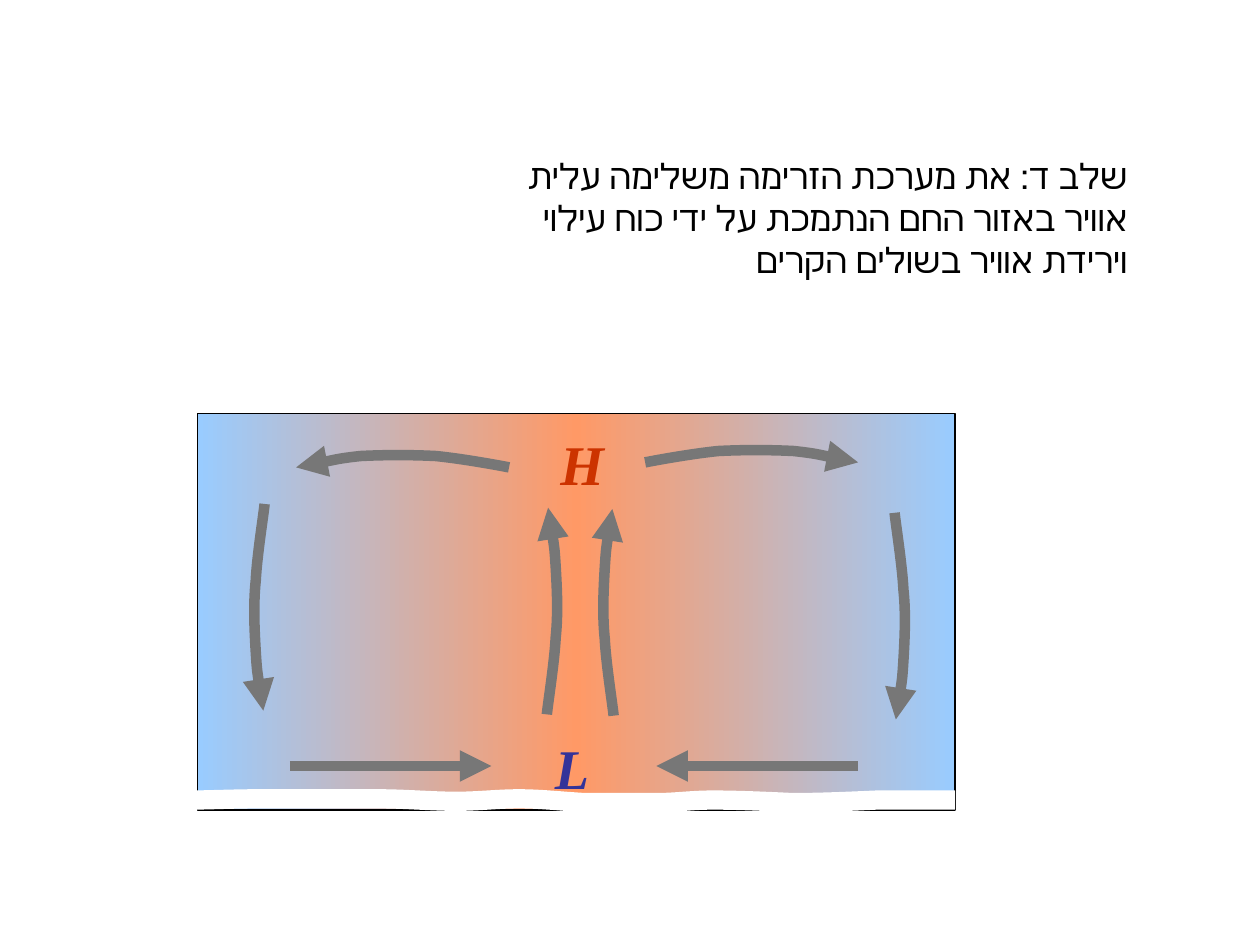
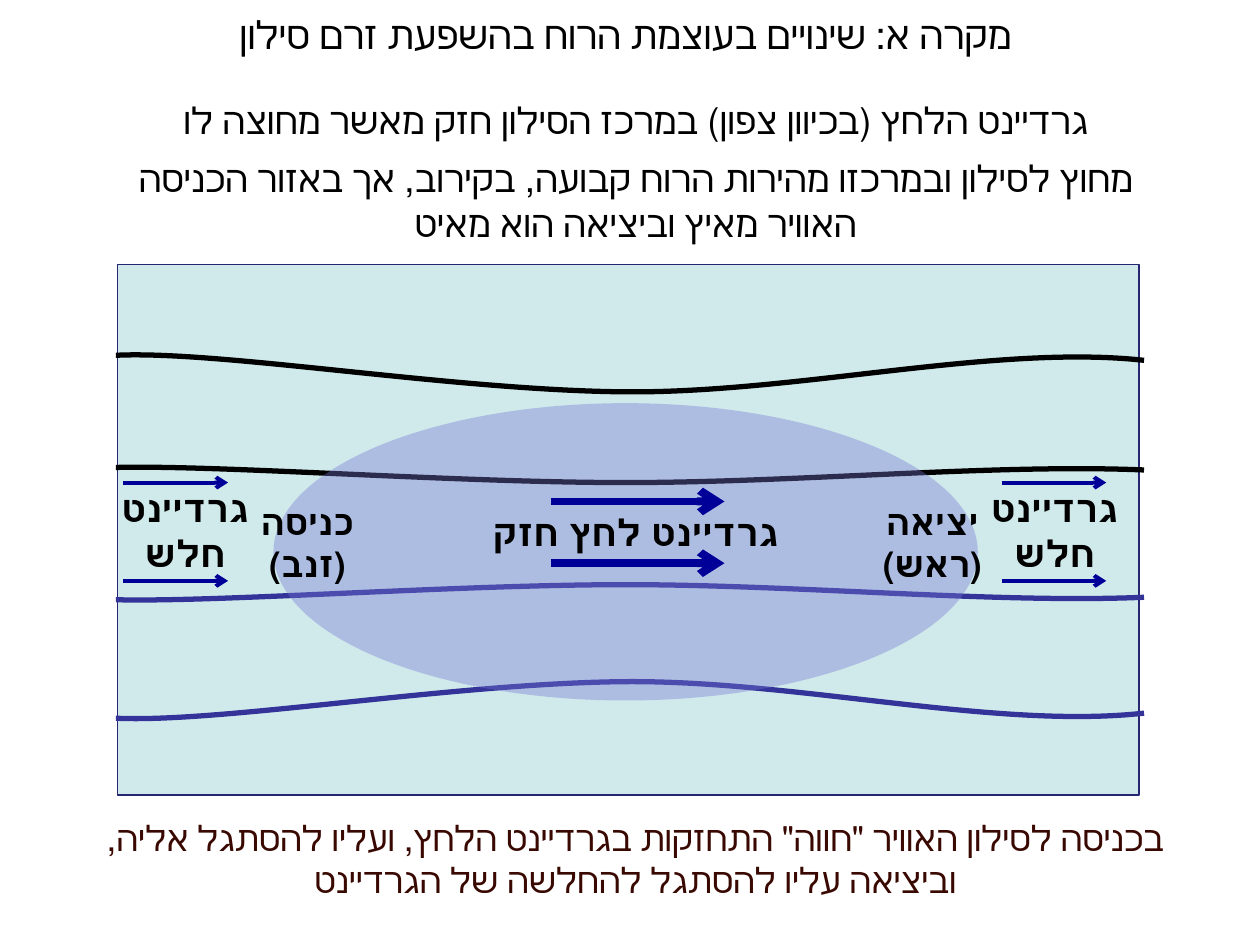
from copy import deepcopy
from itertools import product

from lxml.etree import SubElement
from pptx import Presentation
from pptx.dml.color import RGBColor
from pptx.enum.shapes import MSO_CONNECTOR, MSO_SHAPE
from pptx.enum.text import MSO_AUTO_SIZE, PP_ALIGN
from pptx.oxml.ns import qn
from pptx.util import Inches, Pt

COLUMNS, ROWS = 10, 7.5
CELL = Inches(1)

BLACK = RGBColor(0x00, 0x00, 0x00)
WHITE = RGBColor(0xFF, 0xFF, 0xFF)
COLD = RGBColor(0x99, 0xCC, 0xFF)
WARM = RGBColor(0xFF, 0x99, 0x66)
FLOW = RGBColor(0x77, 0x77, 0x77)
HIGH = RGBColor(0xCC, 0x33, 0x00)
LOW = RGBColor(0x33, 0x33, 0x99)
SKY = RGBColor(0xD0, 0xEA, 0xEC)
SKY_EDGE = RGBColor(0x26, 0x26, 0x73)
JET = RGBColor(0x75, 0x75, 0xD1)
WIND = RGBColor(0x00, 0x00, 0x99)
NOTE = RGBColor(0x39, 0x09, 0x01)

PLAIN = {"name": "Arial", "size": Pt(21), "bold": False, "italic": False}
STRONG = PLAIN | {"bold": True}
LETTER = {"name": "Times New Roman", "size": Pt(32), "bold": True, "italic": True}

BOW = [(0, 0), (0.1, 0.01), (0.41, 0.06), (0.61, 0.07), (0.8, 0.09),
       (1, 0.08), (1.17, 0.07), (1.34, 0.06), (1.54, 0.03), (1.64, 0.01)]
ARCH = [(0, 0), (0.1, 0.02), (0.38, 0.07), (0.58, 0.09), (0.77, 0.1),
        (0.99, 0.1), (1.18, 0.09), (1.36, 0.07), (1.58, 0.02), (1.69, 0)]
GROUND = [(1.53, 6.35), (1.62, 6.35), (1.88, 6.34), (2.03, 6.34), (2.18, 6.34),
          (2.26, 6.34), (2.43, 6.34), (2.59, 6.34), (2.81, 6.34), (3.01, 6.34),
          (3.21, 6.34), (3.43, 6.36), (3.62, 6.36), (3.8, 6.36), (3.95, 6.34),
          (4.12, 6.34), (4.29, 6.34), (4.46, 6.36), (4.64, 6.37), (4.82, 6.37),
          (5.04, 6.37), (5.21, 6.37), (5.37, 6.37), (5.48, 6.35), (5.66, 6.35),
          (5.84, 6.35), (6.08, 6.36), (6.29, 6.37), (6.51, 6.37), (6.74, 6.36),
          (6.96, 6.35), (7.17, 6.35), (7.45, 6.35), (7.58, 6.35)]
ISOBAR_X = [0.92, 1.75, 3.61, 4.97, 6.33, 7.9, 9.08]
WIDE_WAVE = [0.29, 0.33, 0.01, 0, -0.01, 0.38, 0.25]
SLIGHT_WAVE = [0.12, 0.14, 0, 0, 0, 0.15, 0.1]


def cells(*lengths):
    return [round(length * CELL) for length in lengths]


def set_format(target, values):
    for name, value in values.items():
        setattr(target, name, value)


def set_line(shape, color, points, arrowhead=None):
    shape.line.color.rgb = color
    shape.line.width = Pt(points)
    if arrowhead:
        SubElement(shape.line._get_or_add_ln(), qn("a:tailEnd"), type=arrowhead)


def add_panel(page, kind, area):
    panel = page.shapes.add_shape(kind, *cells(*area))
    panel.shadow.inherit = False
    panel.fill.solid()
    return panel


def add_curve(page, points, color, width, arrowhead=None):
    start, *others = [cells(*point) for point in points]
    builder = page.shapes.build_freeform(*start)
    builder.add_line_segments(others, close=False)
    curve = builder.convert_to_shape()
    segments = curve._element.xpath(".//a:lnTo")
    for first in range(0, len(segments), 3):
        bezier = SubElement(segments[first].getparent(), qn("a:cubicBezTo"))
        for segment in segments[first:first + 3]:
            bezier.append(segment[0])
            segment.getparent().remove(segment)
    curve.shadow.inherit = False
    curve.fill.background()
    set_line(curve, color, width, arrowhead)


def add_flow(page, bend, start, along, bulge):
    x, y = start
    points = [(x + t * along[0] + s * bulge[0], y + t * along[1] + s * bulge[1])
              for t, s in bend]
    add_curve(page, points, FLOW, 6, "triangle")


def add_arrow(page, left, top, length, width):
    ends = cells(left, top, left + length, top)
    arrow = page.shapes.add_connector(MSO_CONNECTOR.STRAIGHT, *ends)
    SubElement(arrow._element.spPr, qn("a:effectLst"))
    set_line(arrow, WIND, width, "arrow")


def add_text(page, text, area, style, color=BLACK, size=None,
             align=PP_ALIGN.CENTER, hebrew=True):
    box = page.shapes.add_textbox(*cells(*area))
    set_format(box.text_frame, {"word_wrap": True,
                                "auto_size": MSO_AUTO_SIZE.SHAPE_TO_FIT_TEXT})
    para = box.text_frame.paragraphs[0]
    para.alignment = align
    span = para.add_run()
    span.text = text
    set_format(span.font, style)
    span.font.color.rgb = color
    if size:
        span.font.size = Pt(size)
    if hebrew:
        para._p.get_or_add_pPr().set("rtl", "1")
        span._r.get_or_add_rPr().set("lang", "he-IL")


def build_circulation(page):
    air = add_panel(page, MSO_SHAPE.RECTANGLE, (1.57, 3.28, 6.01, 3.15))
    air.fill.gradient()
    air.fill.gradient_angle = 0
    first_stop = air.fill.gradient_stops._gsLst[0]
    first_stop.addnext(deepcopy(first_stop))
    for stop, color, position in zip(air.fill.gradient_stops,
                                     (COLD, WARM, COLD), (0, 0.5, 1)):
        stop.color.rgb = color
        stop.position = position
    set_line(air, BLACK, 0.75)
    add_curve(page, GROUND, WHITE, 11)

    down, up, left, right = (0, 1), (0, -1), (-1, 0), (1, 0)
    for bend, start, along, bulge in [
        (BOW, (2.1, 4), down, left), (BOW, (7.1, 4.07), down, right),
        (BOW, (4.34, 5.67), up, right), (BOW, (4.87, 5.68), up, left),
        (ARCH, (4.04, 3.71), left, up), (ARCH, (5.12, 3.67), right, up),
    ]:
        add_flow(page, bend, start, along, bulge)
    for start, end in [(2.3, 3.9), (6.81, 5.21)]:
        third = (end - start) / 3
        add_curve(page, [(start + step * third, 6.08) for step in range(4)],
                  FLOW, 6, "triangle")

    add_text(page, "L", (4.13, 5.77, 0.82, 0.63), LETTER, LOW, hebrew=False)
    add_text(page, "H", (4.21, 3.36, 0.82, 0.63), LETTER, HIGH, hebrew=False)
    add_text(page, "שלב ד: את מערכת הזרימה משלימה עלית אוויר באזור החם "
             "הנתמכת על ידי כוח עילוי וירידת אוויר בשולים הקרים",
             (3.66, 1.18, 5.39, 1.11), PLAIN, size=20, align=PP_ALIGN.RIGHT)


def build_jet(page):
    sky = add_panel(page, MSO_SHAPE.RECTANGLE, (0.93, 2.1, 8.11, 4.21))
    sky.fill.fore_color.rgb = SKY
    set_line(sky, SKY_EDGE, 0.75)
    for crest, wave, direction, color in [
        (3.11, WIDE_WAVE, -1, BLACK), (3.83, SLIGHT_WAVE, -1, BLACK),
        (4.64, SLIGHT_WAVE, 1, LOW), (5.41, WIDE_WAVE, 1, LOW),
    ]:
        add_curve(page, [(x, crest + direction * offset)
                         for x, offset in zip(ISOBAR_X, wave)], color, 3)

    jet = add_panel(page, MSO_SHAPE.OVAL, (2.17, 3.2, 5.59, 2.36))
    jet.fill.fore_color.rgb = JET
    SubElement(jet._element.xpath("./p:spPr/a:solidFill/a:srgbClr")[0],
               qn("a:alpha"), val="38000")
    jet.line.fill.background()

    wide, left = 8.75, 0.67
    add_text(page, "מקרה א: שינויים בעוצמת הרוח בהשפעת זרם סילון",
             (0.16, 0.04, 9.61, 0.47), PLAIN, size=22)
    add_text(page, "גרדיינט הלחץ (בכיוון צפון) במרכז הסילון חזק מאשר מחוצה לו",
             (left, 0.73, wide, 0.45), PLAIN)
    add_text(page, "מחוץ לסילון ובמרכזו מהירות הרוח קבועה, בקירוב, אך באזור "
             "הכניסה האוויר מאיץ וביציאה הוא מאיט", (left, 1.19, wide, 0.81), PLAIN)
    add_text(page, "בכניסה לסילון האוויר \"חווה\" התחזקות בגרדיינט הלחץ, ועליו "
             "להסתגל אליה, וביציאה עליו להסתגל להחלשה של הגרדיינט",
             (left, 6.43, wide, 0.77), PLAIN, NOTE, 20)

    add_text(page, "גרדיינט לחץ חזק", (3.74, 4, 2.61, 0.45), STRONG)
    for x in (0.75, 7.65):
        add_text(page, "גרדיינט חלש", (x, 3.81, 1.44, 0.81), STRONG)
    for text, x in [("כניסה (זנב)", 1.69), ("יציאה (ראש)", 6.65)]:
        add_text(page, text, (x, 3.92, 1.5, 0.77), STRONG, size=20)
    for y in (3.98, 4.47):
        add_arrow(page, 4.37, y, 1.38, 4.5)
    for x, y in product((0.98, 7.95), (3.83, 4.61)):
        add_arrow(page, x, y, 0.83, 2.25)


def main():
    deck = Presentation()
    deck.slide_width, deck.slide_height = cells(COLUMNS, ROWS)
    for build in (build_circulation, build_jet):
        build(deck.slides.add_slide(deck.slide_layouts[6]))
    deck.save("out.pptx")


if __name__ == "__main__":
    main()
